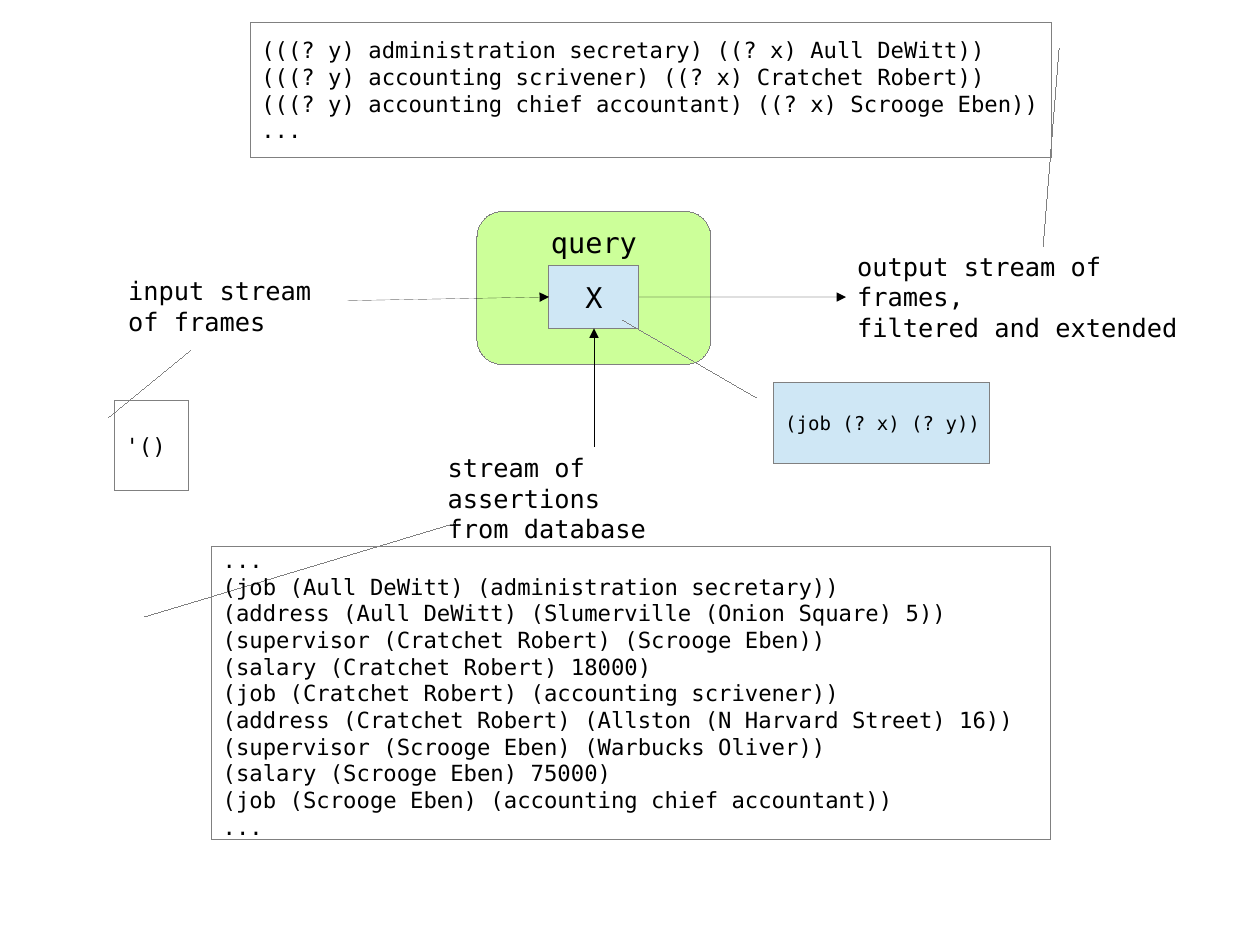
from lxml import etree
from pptx import Presentation
from pptx import util as u
from pptx.dml.color import RGBColor
from pptx.enum import shapes, text
from pptx.oxml.ns import qn

COLORS = {k: RGBColor.from_string(v) for k, v in {
    "ink": "000000", "outline": "808080", "white": "FFFFFF",
    "green": "CCFF99", "blue": "CFE7F5"}.items()}
FONT = "DejaVu Sans Mono"
HAIRLINE = u.Pt(0.01)
MSO = shapes.MSO_SHAPE


def write(sp, lines, size, align=text.PP_ALIGN.LEFT,
          anchor=text.MSO_ANCHOR.MIDDLE, wrap=False):
    tf = sp.text_frame
    tf.word_wrap = wrap
    tf.vertical_anchor = anchor
    for i, line in enumerate(lines):
        p = tf.paragraphs[0] if i == 0 else tf.add_paragraph()
        p.text = line
        p.alignment = align
        p.font.size = u.Pt(size)
        p.font.name = FONT
        p.font.color.rgb = COLORS["ink"]


def add_box(kind, box, fill):
    sp = s.shapes.add_shape(kind, *map(u.Cm, box))
    sp.shadow.inherit = False
    sp.fill.solid()
    sp.fill.fore_color.rgb = COLORS[fill]
    sp.line.color.rgb = COLORS["outline"]
    sp.line.width = HAIRLINE
    return sp


prs = Presentation()
prs.slide_width, prs.slide_height = u.Cm(28), u.Cm(21)
s = prs.slides.add_slide(prs.slide_layouts[6])

# Query box with the pattern X inside
query = add_box(MSO.ROUNDED_RECTANGLE, (10.6, 4.7, 5.2, 3.4), "green")
write(query, ["query"], 18, text.PP_ALIGN.CENTER, text.MSO_ANCHOR.TOP)
x_box = add_box(MSO.RECTANGLE, (12.2, 5.9, 2, 1.4), "blue")
write(x_box, ["X"], 18, text.PP_ALIGN.CENTER, wrap=True)

# Stream labels
labels = [
    ((2.6, 6, 5.13, 1.55), text.MSO_ANCHOR.TOP,
     ["input stream", "of frames"]),
    ((9.7, 9.93, 7, 2.2), text.MSO_ANCHOR.TOP,
     ["stream of assertions", "from database"]),
    ((18.8, 5.49, 7.95, 2.2), text.MSO_ANCHOR.MIDDLE,
     ["output stream of frames,", "filtered and extended"]),
]
for box, anchor, lines in labels:
    tb = s.shapes.add_textbox(*map(u.Cm, box))
    write(tb, lines, 16, anchor=anchor, wrap=True)

# Callouts: box, fill, pointer start and end (y, x), flipped, text size, lines
callouts = [
    ((4.7, 12.15, 18.64, 6.5), "white", (0.24, -0.08, -0.08, 0.29), False, 14, [
        "...",
        "(job (Aull DeWitt) (administration secretary))",
        "(address (Aull DeWitt) (Slumerville (Onion Square) 5))",
        "(supervisor (Cratchet Robert) (Scrooge Eben))",
        "(salary (Cratchet Robert) 18000)",
        "(job (Cratchet Robert) (accounting scrivener))",
        "(address (Cratchet Robert) (Allston (N Harvard Street) 16))",
        "(supervisor (Scrooge Eben) (Warbucks Oliver))",
        "(salary (Scrooge Eben) 75000)",
        "(job (Scrooge Eben) (accounting chief accountant))",
        "..."]),
    ((5.56, 0.5, 17.8, 3), "white", (0.19, -0.01, 1.66, 0.01), True, 14, [
        "(((? y) administration secretary) ((? x) Aull DeWitt))",
        "(((? y) accounting scrivener) ((? x) Cratchet Robert))",
        "(((? y) accounting chief accountant) ((? x) Scrooge Eben))",
        "..."]),
    ((2.54, 8.9, 1.65, 2), "white", (0.19, -0.08, -0.56, 1.03), False, 14,
     ["'()"]),
    ((17.2, 8.5, 4.8, 1.8), "blue", (0.19, -0.08, -0.77, -0.7), False, 12,
     ["(job (? x) (? y))"]),
]
for box, fill, pointer, flipped, size, lines in callouts:
    sp = add_box(MSO.LINE_CALLOUT_1, box, fill)
    for i, value in enumerate(pointer):
        sp.adjustments[i] = value
    if flipped:
        sp._element.spPr.find(qn("a:xfrm")).set("flipH", "1")
    write(sp, lines, size)

# Arrows: start, end, and the side of X at which each one joins
arrows = [
    ((7.72, 6.68), (12.2, 6.6), "end", 1),
    ((14.2, 6.6), (18.8, 6.6), "begin", 3),
    ((13.2, 9.93), (13.2, 7.3), "end", 2),
]
for start, end, joined, side in arrows:
    cx = s.shapes.add_connector(shapes.MSO_CONNECTOR.STRAIGHT,
                                *map(u.Cm, start + end))
    if joined == "begin":
        cx.begin_connect(x_box, side)
    else:
        cx.end_connect(x_box, side)
    cx.line.color.rgb = COLORS["ink"]
    cx.line.width = HAIRLINE
    etree.SubElement(cx.line._get_or_add_ln(), qn("a:tailEnd"), type="triangle")
    etree.SubElement(cx._element.spPr, qn("a:effectLst"))

prs.save("out.pptx")
